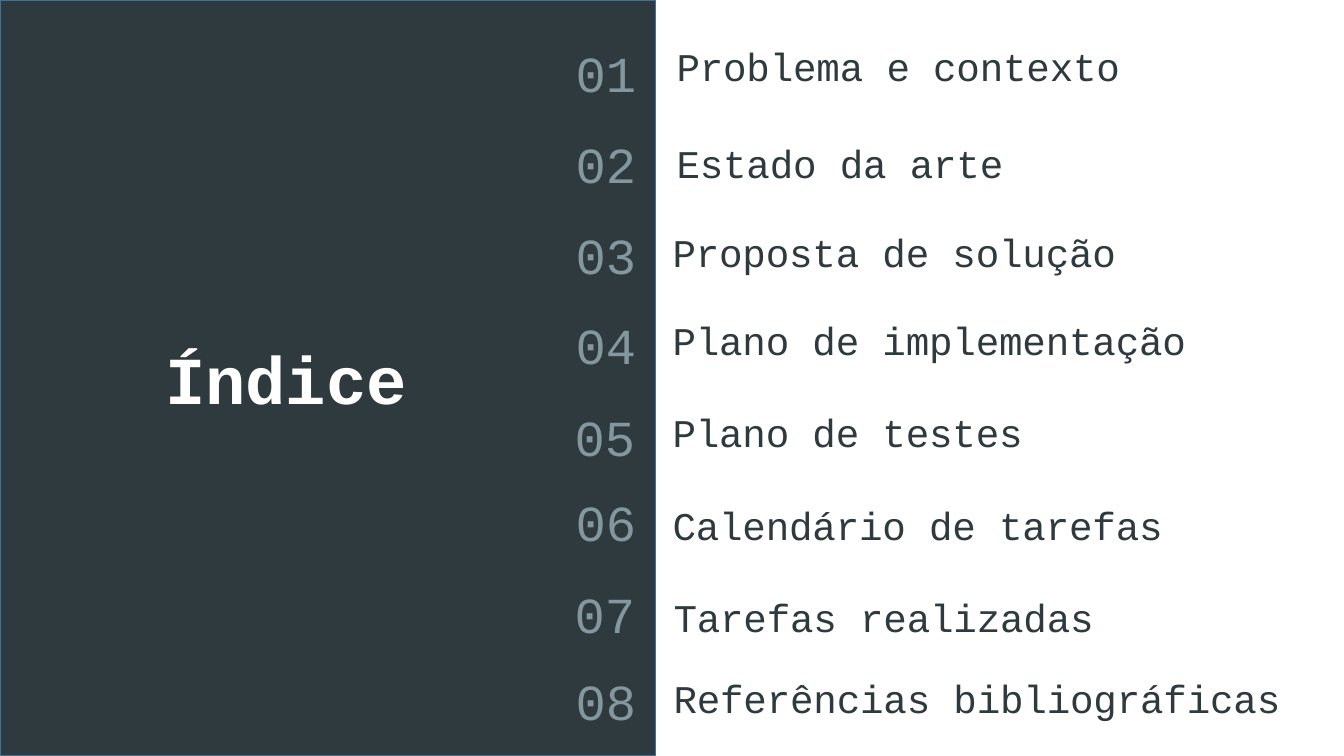
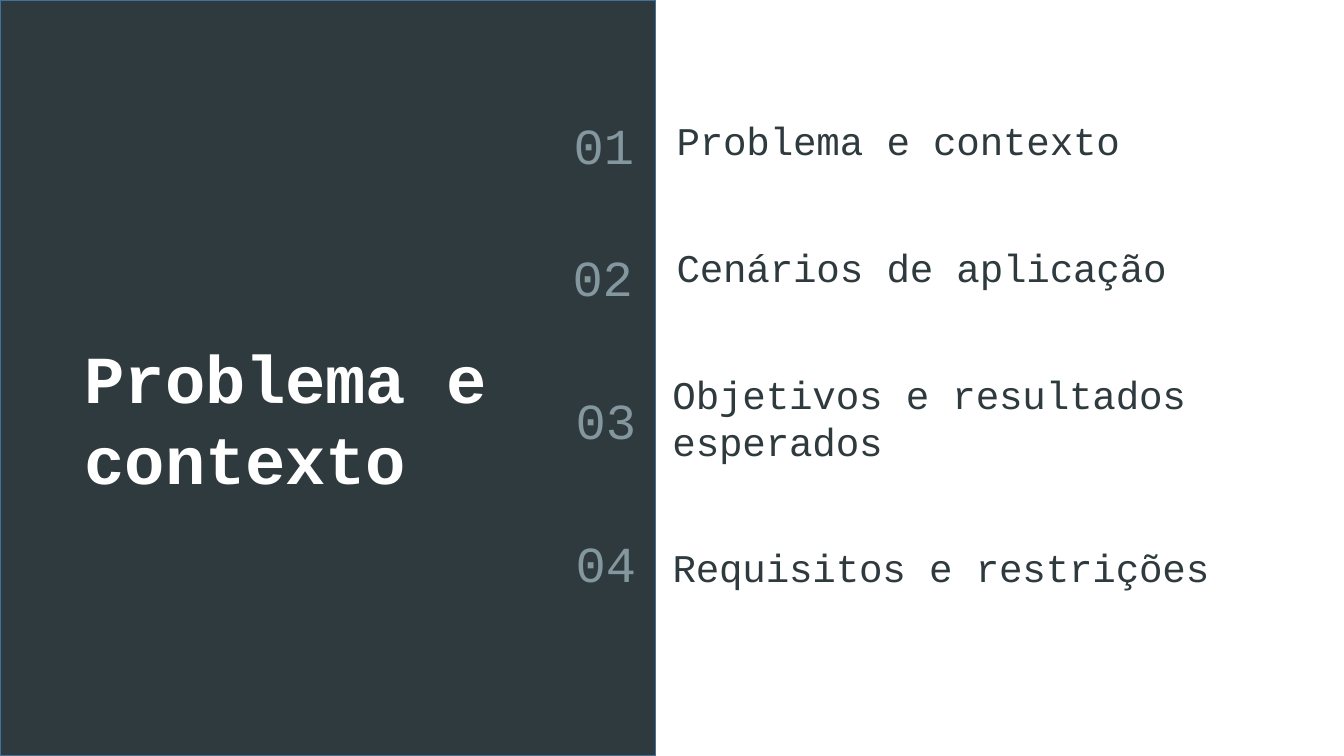
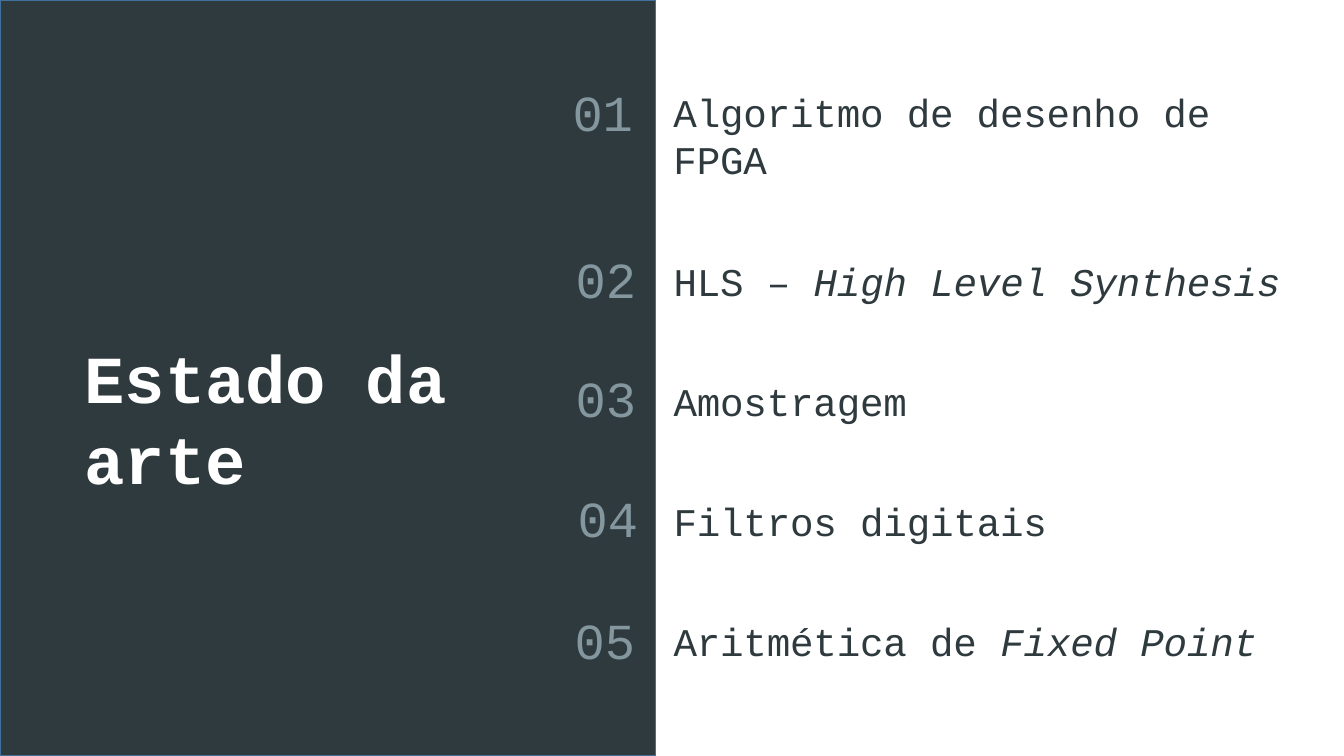
from pptx import Presentation
from pptx.dml.color import RGBColor
from pptx.enum import shapes, text
from pptx.util import Inches, Pt

FONT = "Courier New"
DARK, WHITE, GREY, EDGE = "2F3A3E", "FFFFFF", "84979F", "41709C"
PANEL_WIDTH, PAGE_WIDTH, PAGE_HEIGHT = 6.5, 13.33, 7.5


def colour(hex_code):
    return RGBColor.from_string(hex_code)


def add_text(page, place, runs, size, hex_code, bold=False):
    """Add a text box; place is left, top, width, height and runs is (words, italic) pairs."""
    box = page.shapes.add_textbox(*[Inches(length) for length in place])
    frame = box.text_frame
    frame.word_wrap = True
    frame.auto_size = text.MSO_AUTO_SIZE.SHAPE_TO_FIT_TEXT
    frame.margin_left = frame.margin_right = frame.margin_bottom = 0
    frame.margin_top = Inches(0.01)
    para = frame.paragraphs[0]
    para.space_before = Pt(1)
    for words, italic in runs:
        span = para.add_run()
        span.text = words
        span.font.name = FONT
        span.font.size = Pt(size)
        span.font.bold = bold
        span.font.italic = italic
        span.font.color.rgb = colour(hex_code)
        span._r.get_or_add_rPr().set("spc", "-10")


# Each page: title, title place, then its items as
# (number left, number top, item left, item top, item lines, plain words, italic words)
pages = [
    ("Índice", (1.64, 3.34, 3.23, 0.82), [
        (5.71, 0.41, 6.71, 0.41, 1, "Problema e contexto", ""),
        (5.71, 1.31, 6.71, 1.37, 1, "Estado da arte", ""),
        (5.71, 2.21, 6.67, 2.26, 1, "Proposta de solução", ""),
        (5.71, 3.11, 6.67, 3.13, 1, "Plano de implementação", ""),
        (5.70, 4.02, 6.67, 4.04, 1, "Plano de testes", ""),
        (5.71, 4.86, 6.67, 4.96, 1, "Calendário de tarefas", ""),
        (5.70, 5.78, 6.68, 5.88, 1, "Tarefas realizadas", ""),
        (5.71, 6.64, 6.68, 6.68, 1, "Referências bibliográficas", ""),
    ]),
    ("Problema e contexto", (0.84, 3.33, 4.03, 1.63), [
        (5.69, 1.12, 6.71, 1.14, 1, "Problema e contexto", ""),
        (5.68, 2.43, 6.71, 2.40, 1, "Cenários de aplicação", ""),
        (5.71, 3.85, 6.67, 3.66, 2, "Objetivos e resultados esperados", ""),
        (5.71, 5.27, 6.67, 5.38, 1, "Requisitos e restrições", ""),
    ]),
    ("Estado da arte", (0.84, 3.33, 4.03, 1.63), [
        (5.68, 0.80, 6.68, 0.87, 2, "Algoritmo de desenho de FPGA", ""),
        (5.71, 2.45, 6.68, 2.54, 1, "HLS – ", "High Level Synthesis"),
        (5.71, 3.63, 6.68, 3.73, 1, "Amostragem", ""),
        (5.73, 4.82, 6.68, 4.92, 1, "Filtros digitais", ""),
        (5.70, 6.03, 6.68, 6.11, 1, "Aritmética de ", "Fixed Point"),
    ]),
]

deck = Presentation()
deck.slide_width = Inches(PAGE_WIDTH)
deck.slide_height = Inches(PAGE_HEIGHT)

for title, title_place, items in pages:
    page = deck.slides.add_slide(deck.slide_layouts[6])

    panel = page.shapes.add_shape(
        shapes.MSO_SHAPE.RECTANGLE, 0, 0, Inches(PANEL_WIDTH), Inches(PAGE_HEIGHT))
    panel.shadow.inherit = False
    panel.fill.solid()
    panel.fill.fore_color.rgb = colour(DARK)
    panel.line.color.rgb = colour(EDGE)
    panel.line.width = Pt(0.96)

    add_text(page, title_place, [(title, False)], 48, WHITE, bold=True)

    for number, item in enumerate(items, start=1):
        number_left, number_top, left, top, lines, plain, italic = item
        add_text(page, (number_left, number_top, 0.63, 0.63),
                 [(f"{number:02d}", False)], 36, GREY)
        runs = [(plain, False)]
        if italic:
            runs.append((italic, True))
        # Two-line items break before the right margin
        width = 6.06 if lines == 2 else 6.58
        add_text(page, (left, top, width, 0.48 * lines), runs, 28, DARK)

deck.save("out.pptx")
